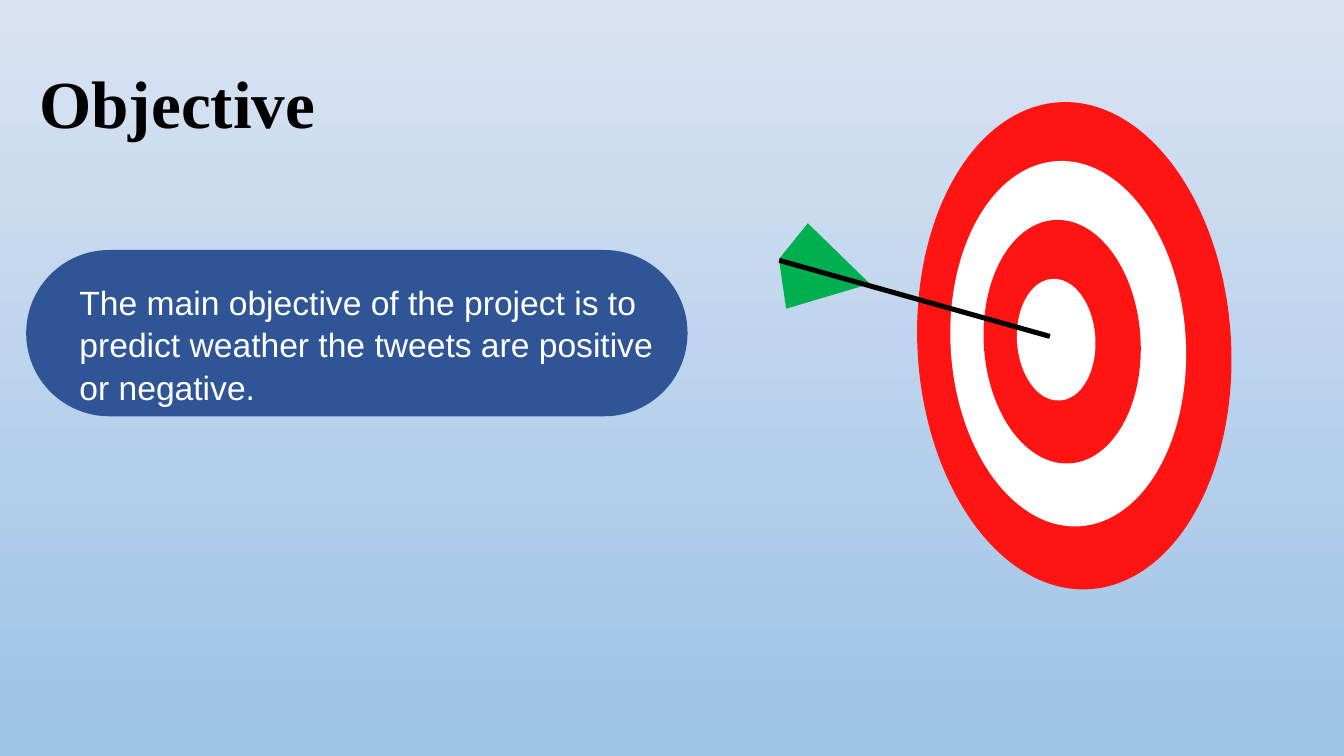
from pptx import Presentation
from pptx.dml.color import RGBColor
from pptx.enum.shapes import MSO_SHAPE as Shape
from pptx.enum.text import MSO_ANCHOR as Anchor, PP_ALIGN as Align
from pptx.util import Inches, Pt


def color(hex_value):
    return RGBColor.from_string(hex_value)


def write(frame, text, *, size, font, ink, bold=False, spacing=1.0, anchor=Anchor.TOP):
    frame.word_wrap = True
    frame.vertical_anchor = anchor
    paragraph = frame.paragraphs[0]
    paragraph.alignment = Align.LEFT
    paragraph.line_spacing = spacing
    run = paragraph.add_run()
    run.text = text
    run.font.size = Pt(size)
    run.font.name = font
    run.font.bold = bold
    run.font.color.rgb = color(ink)


def add_filled(slide, preset, box, fill, rotation=0, adjust=None):
    shape = slide.shapes.add_shape(preset, *map(Inches, box))
    shape.shadow.inherit = False
    shape.fill.solid()
    shape.fill.fore_color.rgb = color(fill)
    shape.line.fill.background()
    shape.rotation = rotation
    if adjust is not None:
        shape.adjustments[0] = adjust


def paint_background(slide, top, bottom):
    fill = slide.background.fill
    fill.gradient()
    fill.gradient_angle = 270
    for stop, shade in zip(fill.gradient_stops, (top, bottom)):
        stop.color.rgb = color(shade)


def add_heading(slide, box, text):
    title = slide.shapes.title
    title.left, title.top, title.width, title.height = map(Inches, box)
    write(title.text_frame, text, size=48, font="Times New Roman", ink="000000",
          bold=True, anchor=Anchor.MIDDLE)


def add_target(slide, box):
    """Four tilted rings whose centres drift up and left towards the bullseye."""
    left, top, width, height = box
    for ring, fill in enumerate(("FF1414", "FFFFFF", "FF1414", "FFFFFF")):
        scale = 1 - ring / 4
        ring_width, ring_height = width * scale, height * scale
        center_x = left + width / 2 - 0.06 * ring
        center_y = top + height / 2 - 0.02 * ring
        add_filled(slide, Shape.OVAL,
                   (center_x - ring_width / 2, center_y - ring_height / 2,
                    ring_width, ring_height), fill, rotation=-3.6)


def add_dart(slide, box):
    left, top, width, height = box
    # Fletching: one triangle on each side of the shaft
    add_filled(slide, Shape.ISOSCELES_TRIANGLE, (left + 0.25, top, 0.45, 0.86),
               "00B050", rotation=128.9, adjust=0.18)
    add_filled(slide, Shape.ISOSCELES_TRIANGLE, (left + 0.19, top + 0.16, 0.46, 0.78),
               "00B050", rotation=81.8, adjust=0.75)
    # Shaft
    length, thickness = 2.79, 0.05
    add_filled(slide, Shape.ROUNDED_RECTANGLE,
               (left + (width - thickness) / 2, top + 0.73 - length / 2, thickness, length),
               "000000", rotation=285.7)


def add_statement(slide, box, text):
    left, top, width, height = box
    add_filled(slide, Shape.ROUNDED_RECTANGLE, box, "2F5597", adjust=0.5)
    statement = slide.shapes.add_textbox(
        *map(Inches, (left + 0.43, top + 0.25, width - 0.4, height - 0.25)))
    write(statement.text_frame, text, size=24, font="Arial", ink="FFFFFF", spacing=1.05)


def main():
    deck = Presentation()
    deck.slide_width, deck.slide_height = Inches(13.33), Inches(7.5)
    slide = deck.slides.add_slide(deck.slide_layouts[5])
    paint_background(slide, "DAE3F3", "9DC3E6")
    add_heading(slide, (0.29, 0.55, 7.14, 0.91), "Objective")
    add_target(slide, (9.1, 1.01, 3.11, 4.84))
    add_dart(slide, (7.73, 2.23, 2.68, 1.11))
    add_statement(slide, (0.26, 2.48, 6.56, 1.65),
                  "The main objective of the project is to predict weather "
                  "the tweets are positive or negative.")
    deck.save("out.pptx")


if __name__ == "__main__":
    main()
